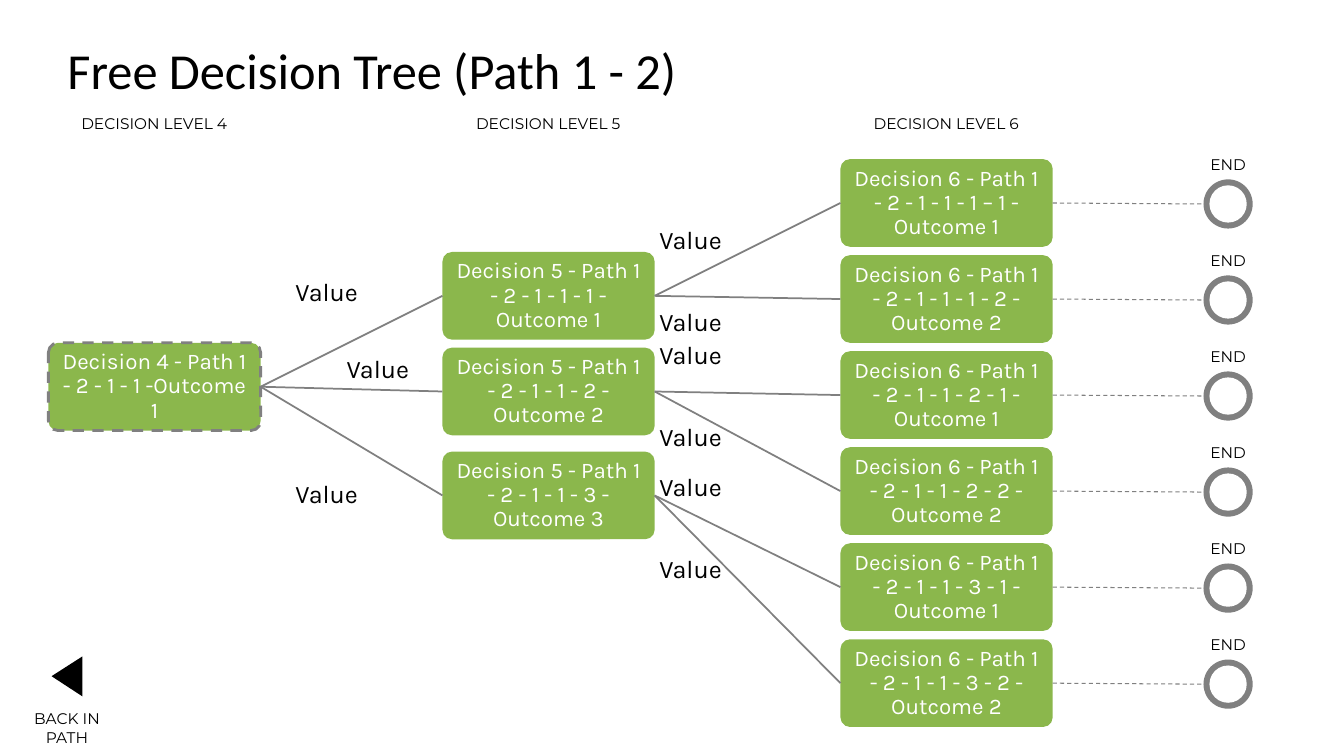
from lxml.etree import SubElement
from pptx import Presentation
from pptx.dml.color import RGBColor
from pptx.enum.dml import MSO_LINE
from pptx.enum.shapes import MSO_CONNECTOR, MSO_SHAPE as Preset
from pptx.enum.text import MSO_ANCHOR as Anchor, MSO_AUTO_SIZE as AutoSize, PP_ALIGN as Align
from pptx.oxml.ns import qn
from pptx.util import Cm, Pt

GREEN, GREY, BLACK, WHITE = "8BB74C", "808080", "000000", "FFFFFF"
BOX_WIDTH, BOX_HEIGHT = 5.35, 2.21
RING_LEFT, RING_SIZE, RING_BORDER = 30.33, 1.24, 0.15
CAPTION_WIDTH, CAPTION_HEIGHT = 4.78, 0.74
LEVEL_LEFTS = {4: 1.22, 5: 11.15, 6: 21.18}


def colour(value):
    return RGBColor.from_string(value)


class TreeSlide:
    """Holds the slide and draws each kind of element in its style."""

    def __init__(self, deck):
        self.page = deck.slides.add_slide(deck.slide_layouts[5])
        self.shapes = self.page.shapes

    def style_text(self, frame, text, font, size, hue, align):
        frame.text = text
        frame.word_wrap = True
        para = frame.paragraphs[0]
        para.alignment = align
        for span in para.runs:
            span.font.name = font
            span.font.size = Pt(size)
            span.font.color.rgb = colour(hue)
        return para

    def paint(self, shape, hue):
        shape.shadow.inherit = False
        shape.fill.solid()
        shape.fill.fore_color.rgb = colour(hue)
        shape.line.fill.background()

    def title(self, text):
        box = self.shapes.title
        box.left, box.top, box.width, box.height = Cm(1.7), Cm(0.76), Cm(30.48), Cm(1.98)
        frame = box.text_frame
        self.style_text(frame, text, "Calibri", 36, BLACK, Align.LEFT)
        frame.vertical_anchor = Anchor.MIDDLE
        frame.margin_left = frame.margin_right = frame.margin_top = frame.margin_bottom = 0

    def label(self, text, left, top, width, height, font="Montserrat", size=11,
              align=Align.CENTER):
        box = self.shapes.add_textbox(Cm(left), Cm(top), Cm(width), Cm(height))
        self.style_text(box.text_frame, text, font, size, BLACK, align)
        box.text_frame.auto_size = AutoSize.SHAPE_TO_FIT_TEXT

    def value(self, left, top):
        self.label("Value", left, top, 4.39, 1.02, "Karla", 18, Align.RIGHT)

    def decision(self, level, top, text):
        box = self.shapes.add_shape(Preset.ROUNDED_RECTANGLE, Cm(LEVEL_LEFTS[level]), Cm(top),
                                    Cm(BOX_WIDTH), Cm(BOX_HEIGHT))
        box.adjustments[0] = 0.11
        self.paint(box, GREEN)
        frame = box.text_frame
        para = self.style_text(frame, text, "Karla", 16, WHITE, Align.CENTER)
        para.line_spacing = 0.9
        frame.vertical_anchor = Anchor.MIDDLE
        frame.margin_left = frame.margin_right = Cm(0.24)
        frame.margin_top = frame.margin_bottom = Cm(0.24)
        return box

    def outline(self, shape, width, dashed):
        shape.line.color.rgb = colour(GREY)
        shape.line.width = Pt(width)
        if dashed:
            shape.line.dash_style = MSO_LINE.DASH

    def branch(self, start, end_x, end_y, width=1.25, dashed=False):
        line = self.shapes.add_connector(MSO_CONNECTOR.STRAIGHT, 0, 0, end_x, end_y)
        line.begin_connect(start, 3)
        self.outline(line, width, dashed)
        SubElement(line._element.spPr, qn("a:effectLst"))
        return line

    def join(self, parent, child):
        line = self.branch(parent, child.left, child.top + child.height // 2)
        line.end_connect(child, 1)

    def end_ring(self, box, box_top):
        top = box_top + 0.51
        group = self.shapes.add_group_shape()
        for inset, hue in ((0, GREY), (RING_BORDER, WHITE)):
            size = Cm(RING_SIZE - 2 * inset)
            disc = group.shapes.add_shape(Preset.OVAL, Cm(RING_LEFT + inset),
                                          Cm(top + inset), size, size)
            self.paint(disc, hue)
        self.label("END", RING_LEFT + (RING_SIZE - CAPTION_WIDTH) / 2, box_top - 0.22,
                   CAPTION_WIDTH, CAPTION_HEIGHT)
        self.branch(box, Cm(RING_LEFT), Cm(top + RING_SIZE / 2), 0.75, True)

    def back_arrow(self):
        left, right, top, middle, bottom = 1.3, 2.08, 16.54, 17.04, 17.55
        builder = self.shapes.build_freeform(Cm(right), Cm(top))
        builder.add_line_segments([(Cm(left), Cm(middle)), (Cm(right), Cm(bottom))])
        self.paint(builder.convert_to_shape(), BLACK)
        self.label("BACK IN PATH", 0.05, 17.75, 3.28, 1.19)


def main():
    deck = Presentation()
    deck.slide_width, deck.slide_height = Cm(33.87), Cm(19.05)
    tree = TreeSlide(deck)

    # Title and level captions
    tree.title("Free Decision Tree (Path 1 - 2)")
    for level, left in LEVEL_LEFTS.items():
        tree.label(f"DECISION LEVEL {level}", left + 0.28, 2.76, CAPTION_WIDTH, CAPTION_HEIGHT)

    # Decision 4, the root of this page
    root = tree.decision(4, 8.64, "Decision 4 - Path 1 - 2 - 1 - 1 -Outcome 1")
    tree.outline(root, 2, True)
    for left, top in ((4.88, 6.83), (6.17, 8.79), (4.88, 11.94)):
        tree.value(left, top)

    # Decisions 5 and 6: box top, first value top, paths of the two outcomes
    branches = [
        (6.35, 5.54, ("1 – 1", "1 - 2")),
        (8.76, 8.43, ("2 - 1", "2 - 2")),
        (11.38, 11.76, ("3 - 1", "3 - 2")),
    ]
    row = 0
    for number, (top, value_top, paths) in enumerate(branches, 1):
        parent = tree.decision(
            5, top, f"Decision 5 - Path 1 - 2 - 1 - 1 - {number} - Outcome {number}")
        tree.join(root, parent)
        for outcome, steps in enumerate(paths, 1):
            child_top = 4.01 + 2.42 * row
            child = tree.decision(
                6, child_top, f"Decision 6 - Path 1 - 2 - 1 - 1 - {steps} - Outcome {outcome}")
            tree.join(parent, child)
            tree.value(14.05, value_top + 2.06 * (outcome - 1))
            tree.end_ring(child, child_top)
            row += 1

    # Way back
    tree.back_arrow()
    deck.save("out.pptx")


if __name__ == "__main__":
    main()
